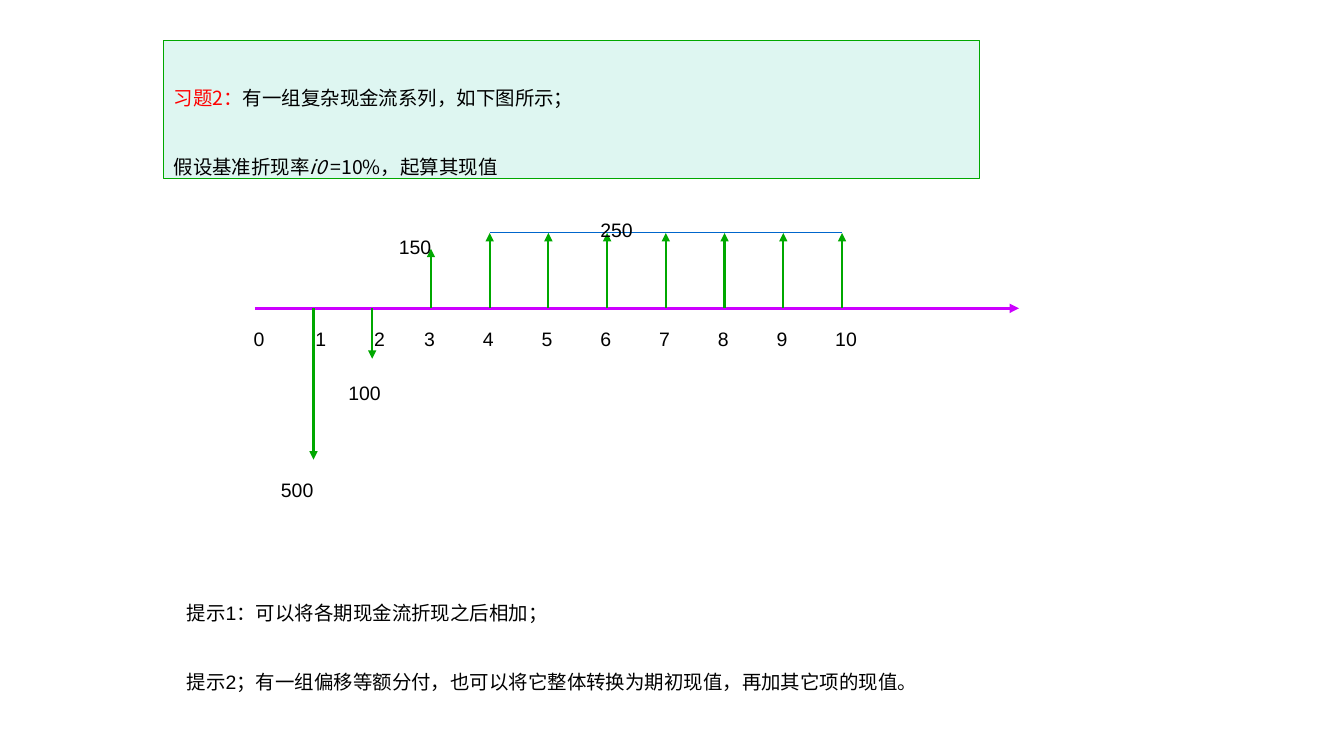
from lxml.etree import SubElement
from pptx import Presentation
from pptx.dml.color import RGBColor
from pptx.enum.shapes import MSO_CONNECTOR as Connector
from pptx.enum.text import MSO_ANCHOR as Anchor, MSO_AUTO_SIZE as AutoSize, PP_ALIGN as Align
from pptx.oxml.ns import qn
from pptx.util import Cm, Pt


def rgb(value):
    return RGBColor.from_string(value)


def set_all(target, values):
    for name, value in values.items():
        setattr(target, name, value)


class CashFlowSlide:
    BLACK, RED, GREEN, BLUE, PURPLE = "000000", "FF0000", "00A800", "0066CC", "CC00FF"
    PANEL = "DEF6F1"
    LATIN, CHINESE = "Arial", "Noto Sans CJK SC"
    TEXT = {"size": Pt(24), "bold": False}
    PROSE = {"alignment": Align.LEFT, "line_spacing": 1.5,
             "space_before": Pt(0), "space_after": Pt(0)}

    def __init__(self, deck):
        self.slide = deck.slides.add_slide(deck.slide_layouts[1])

    def run(self, paragraph, text, font=LATIN, color=BLACK, italic=False):
        run = paragraph.add_run()
        run.text = text
        run.font.color.rgb = rgb(color)
        set_all(run.font, {**self.TEXT, "name": font, "italic": italic})
        properties = run.font._element
        properties.set("baseline", "-25000")
        SubElement(properties, qn("a:ea")).set("typeface", self.CHINESE)

    def prose(self, holder, box, anchor, lines):
        """Move a placeholder and fill it with lines of (text, format) runs."""
        set_all(holder, dict(zip(("left", "top", "width", "height"), map(Cm, box))))
        frame = holder.text_frame
        set_all(frame, {"word_wrap": True, "auto_size": AutoSize.NONE,
                        "vertical_anchor": anchor})
        for index, runs in enumerate(lines):
            paragraph = frame.add_paragraph() if index else frame.paragraphs[0]
            set_all(paragraph, self.PROSE)
            properties = paragraph._p.get_or_add_pPr()
            properties.set("marL", "0")
            properties.set("indent", "0")
            SubElement(properties, qn("a:buNone"))
            for text, style in runs:
                self.run(paragraph, text, **style)

    def exercise(self, box, lines):
        title = self.slide.shapes.title
        self.prose(title, box, Anchor.MIDDLE, lines)
        title.fill.solid()
        title.fill.fore_color.rgb = rgb(self.PANEL)
        title.line.color.rgb = rgb(self.GREEN)
        title.line.width = Pt(0.75)

    def hints(self, box, lines):
        self.prose(self.slide.placeholders[1], box, Anchor.TOP, lines)

    def line(self, start, end, color, width, arrow=True):
        line = self.slide.shapes.add_connector(
            Connector.STRAIGHT, *map(Cm, (*start, *end)))
        line.line.color.rgb = rgb(color)
        line.line.width = Pt(width)
        if arrow:
            SubElement(line.line._get_or_add_ln(), qn("a:tailEnd")).set("type", "triangle")
        SubElement(line._element.spPr, qn("a:effectLst"))

    def label(self, left, top, text):
        width = 0.52 + 0.47 * len(text)
        box = self.slide.shapes.add_textbox(Cm(left), Cm(top), Cm(width), Cm(1.3))
        set_all(box.text_frame, {"word_wrap": False, "auto_size": AutoSize.SHAPE_TO_FIT_TEXT})
        self.run(box.text_frame.paragraphs[0], text)


def main():
    deck = Presentation()
    set_all(deck, {"slide_width": Cm(33.87), "slide_height": Cm(19.05)})
    page = CashFlowSlide(deck)

    # Exercise and hints
    chinese = {"font": page.CHINESE}
    page.exercise((4.12, 1.02, 20.57, 3.48), [
        [("习题2：", {**chinese, "color": page.RED}),
         ("有一组复杂现金流系列，如下图所示；", chinese)],
        [("假设基准折现率", chinese), ("i0", {**chinese, "italic": True}),
         (" =10%，起算其现值", chinese)],
    ])
    page.hints((4.45, 13.87, 24.69, 2.18), [
        [("提示1：可以将各期现金流折现之后相加；", {})],
        [("提示2；有一组偏移等额分付，也可以将它整体转换为期初现值，再加其它项的现值。", {})],
    ])

    # Time axis
    origin, step, axis, annuity = 6.42, 1.48, 7.77, 5.87

    def year_x(year):
        return origin + step * year

    page.line((origin, axis), (25.68, axis), page.PURPLE, 2.25)

    # Cash flows: year and arrow tip
    tips = {1: 11.58, 2: 9.04, 3: 6.27, **dict.fromkeys(range(4, 11), annuity)}
    for year, tip in tips.items():
        page.line((year_x(year), axis), (year_x(year), tip), page.GREEN, 1.5)
    page.line((year_x(4), annuity), (year_x(10), annuity), page.BLUE, 0.75, arrow=False)

    # Year numbers
    shifts = {0: 0.28, 1: 0.2, 2: 0.2}
    for year in range(11):
        page.label(year_x(year) - shifts.get(year, 0.42), 7.54, str(year))

    # Amounts
    for left, top, amount in ((6.83, 11.35, "500"), (8.53, 8.92, "100"),
                              (9.8, 5.23, "150"), (14.88, 4.8, "250")):
        page.label(left, top, amount)

    deck.save("out.pptx")


if __name__ == "__main__":
    main()
